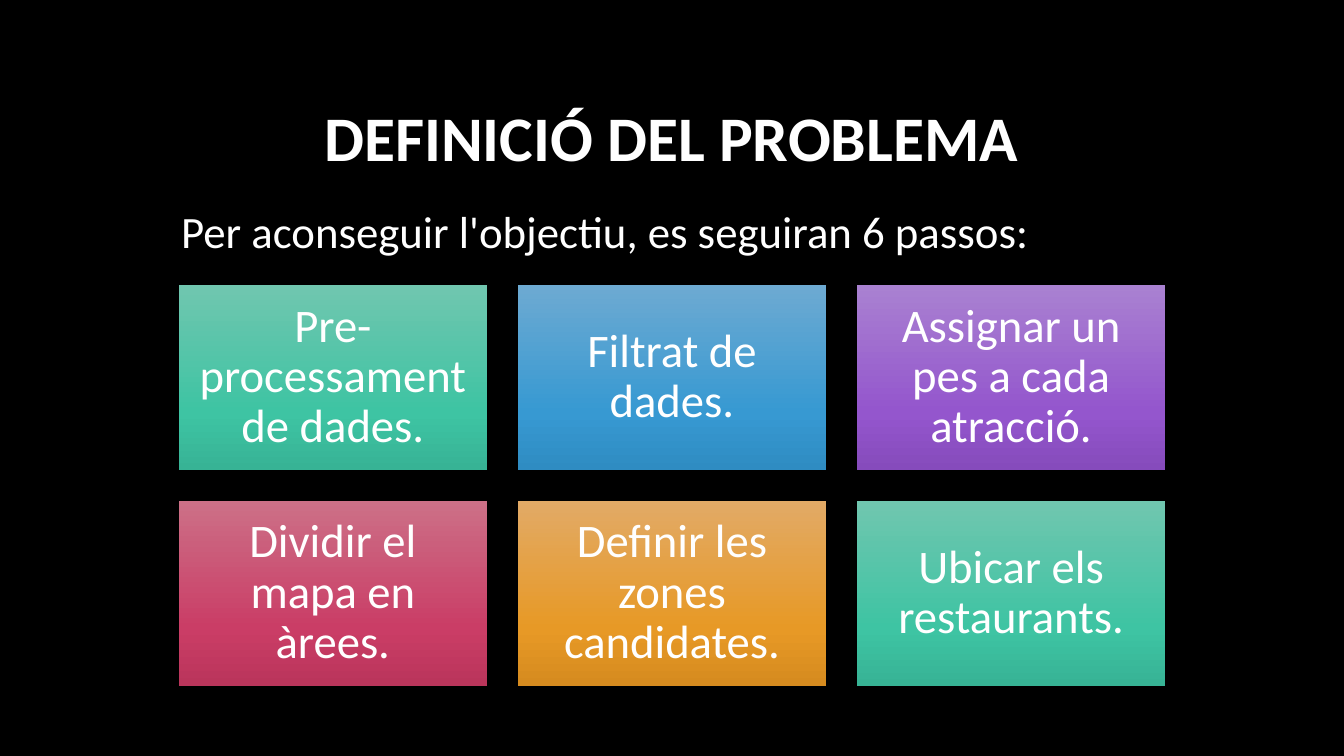
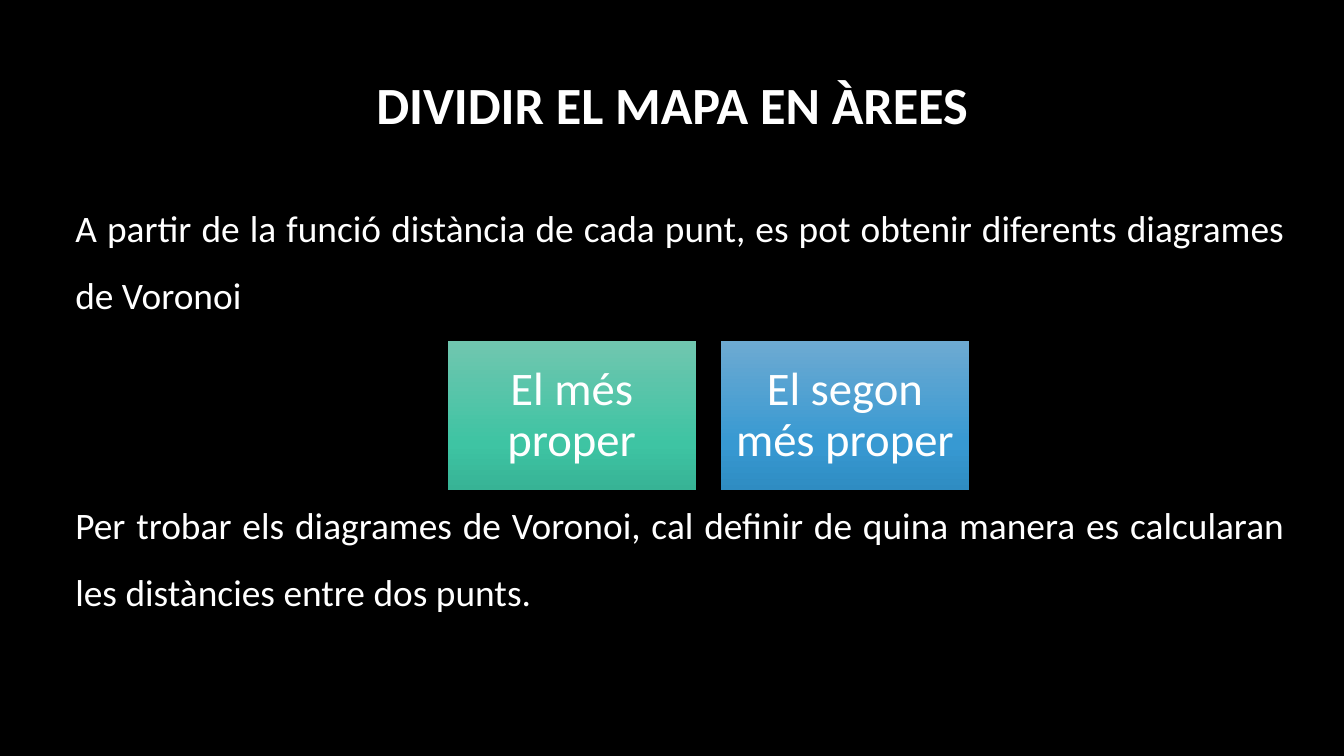
from copy import deepcopy
from typing import NamedTuple

from pptx import Presentation
from pptx.dml.color import RGBColor
from pptx.enum.shapes import MSO_SHAPE as Shape
from pptx.enum.text import MSO_ANCHOR as Anchor, MSO_AUTO_SIZE as AutoSize, PP_ALIGN as Align
from pptx.oxml.ns import qn
from pptx.util import Inches, Pt

FONT = "Calibri"
BLACK = RGBColor(0x00, 0x00, 0x00)
WHITE = RGBColor(0xFF, 0xFF, 0xFF)
GREEN = RGBColor(0x70, 0xC6, 0xAF), RGBColor(0x3E, 0xC4, 0xA3), RGBColor(0x37, 0xB3, 0x95)
BLUE = RGBColor(0x6D, 0xAA, 0xD2), RGBColor(0x37, 0x99, 0xD2), RGBColor(0x2F, 0x8C, 0xC2)
PURPLE = RGBColor(0xA9, 0x81, 0xD1), RGBColor(0x94, 0x56, 0xCD), RGBColor(0x86, 0x4B, 0xBC)
RED = RGBColor(0xCC, 0x70, 0x87), RGBColor(0xCA, 0x3D, 0x66), RGBColor(0xBA, 0x35, 0x5B)
ORANGE = RGBColor(0xE2, 0xAA, 0x66), RGBColor(0xE7, 0x99, 0x26), RGBColor(0xD6, 0x8B, 0x1F)
TILE_COLOURS = [GREEN, BLUE, PURPLE, RED, ORANGE]
STOPS = [0, 0.69, 1]

WIDTH, HEIGHT = Inches(10), Inches(5.625)
COLUMN, ROW = WIDTH / 100, HEIGHT / 56.25
TILE_GAP, TILE_RATIO = 0.1, 0.6
INSET = Inches(0.1)


class Box(NamedTuple):
    left: float
    top: float
    width: float
    height: float

    def lengths(self):
        return (round(self.left * COLUMN), round(self.top * ROW),
                round(self.width * COLUMN), round(self.height * ROW))


def format_frame(frame, anchor, left=INSET, top=INSET):
    frame.word_wrap = True
    frame.auto_size = AutoSize.NONE
    frame.vertical_anchor = anchor
    frame.margin_left = left
    frame.margin_right = INSET
    frame.margin_top = frame.margin_bottom = top


def write(para, text, size, align, spacing=1.0, bold=False):
    para.alignment = align
    para.line_spacing = spacing
    span = para.add_run()
    span.text = text
    span.font.name = FONT
    span.font.size = Pt(size)
    span.font.bold = bold
    span.font.color.rgb = WHITE


def add_page(deck, title, box, size, anchor):
    page = deck.slides.add_slide(deck.slide_layouts.get_by_name("Title Only"))
    holder = page.shapes.title
    holder.left, holder.top, holder.width, holder.height = box.lengths()
    format_frame(holder.text_frame, anchor)
    write(holder.text_frame.paragraphs[0], title, size, Align.CENTER, 0.9, True)
    return page


def add_text(page, box, texts, size, align, spacing=1.0, gap=0, left=INSET, top=INSET):
    frame = page.shapes.add_textbox(*box.lengths()).text_frame
    format_frame(frame, Anchor.TOP, left, top)
    for index, text in enumerate(texts):
        para = frame.add_paragraph() if index else frame.paragraphs[0]
        write(para, text, size, align, spacing)
        if index:
            para.space_before = Pt(gap)


def fill_gradient(shape, colours):
    shape.fill.gradient()
    shape.fill.gradient_angle = 270
    stop_list = shape._element.spPr.find(qn("a:gradFill")).find(qn("a:gsLst"))
    stop_list.append(deepcopy(stop_list[-1]))
    for stop, position, colour in zip(shape.fill.gradient_stops, STOPS, colours):
        stop.position = position
        stop.color.rgb = colour


def add_tile(page, box, text, colours):
    tile = page.shapes.add_shape(Shape.RECTANGLE, *box.lengths())
    tile.shadow.inherit = False
    tile.line.fill.background()
    fill_gradient(tile, colours)
    format_frame(tile.text_frame, Anchor.MIDDLE)
    write(tile.text_frame.paragraphs[0], text, 25, Align.CENTER, 0.9)


def add_tiles(page, left, top, width, across, texts):
    tile_width = width / (across + TILE_GAP * (across - 1))
    tile_height = tile_width * TILE_RATIO
    gap = tile_width * TILE_GAP
    for index, text in enumerate(texts):
        row, column = divmod(index, across)
        box = Box(left + column * (tile_width + gap), top + row * (tile_height + gap),
                  tile_width, tile_height)
        add_tile(page, box, text, TILE_COLOURS[index % len(TILE_COLOURS)])


def add_problem_page(deck):
    page = add_page(deck, "DEFINICIÓ DEL PROBLEMA", Box(7.5, 5, 84.9, 10.9), 34, Anchor.MIDDLE)
    add_tiles(page, 13.3, 21.2, 73.4, 3, [
        "Pre-processament de dades.",
        "Filtrat de dades.",
        "Assignar un pes a cada atracció.",
        "Dividir el mapa en àrees.",
        "Definir les zones candidates.",
        "Ubicar els restaurants.",
    ])
    add_text(page, Box(12.5, 14.7, 74, 5), ["Per aconseguir l'objectiu, es seguiran 6 passos:"],
             24, Align.LEFT, top=Inches(0.05))


def add_areas_page(deck):
    page = add_page(deck, "DIVIDIR EL MAPA EN ÀREES", Box(3.4, 4.9, 93.2, 6.3), 28, Anchor.TOP)
    add_text(page, Box(3.4, 12.6, 93.2, 37.4), [
        "A partir de la funció distància de cada punt, es pot obtenir diferents diagrames de Voronoi",
        "Per trobar els diagrames de Voronoi, cal definir de quina manera es calcularan "
        "les distàncies entre dos punts.",
    ], 20, Align.JUSTIFY, 1.5, gap=87, left=Inches(0.22))
    add_tiles(page, 33.3, 25.4, 38.8, 2, ["El més proper", "El segon més proper"])


def main():
    deck = Presentation()
    deck.slide_width, deck.slide_height = WIDTH, HEIGHT
    backdrop = deck.slide_master.background.fill
    backdrop.solid()
    backdrop.fore_color.rgb = BLACK
    add_problem_page(deck)
    add_areas_page(deck)
    deck.save("out.pptx")


if __name__ == "__main__":
    main()
